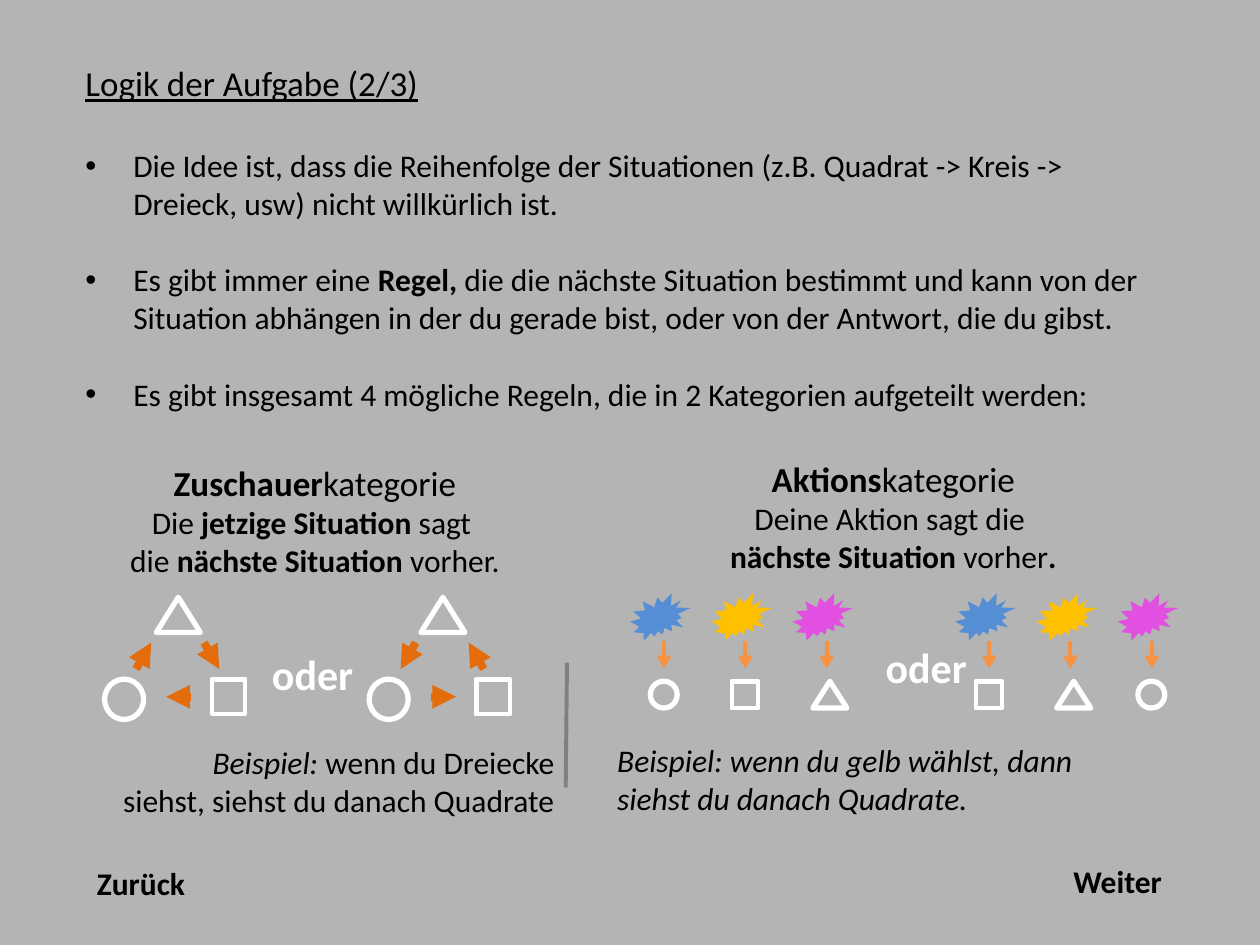
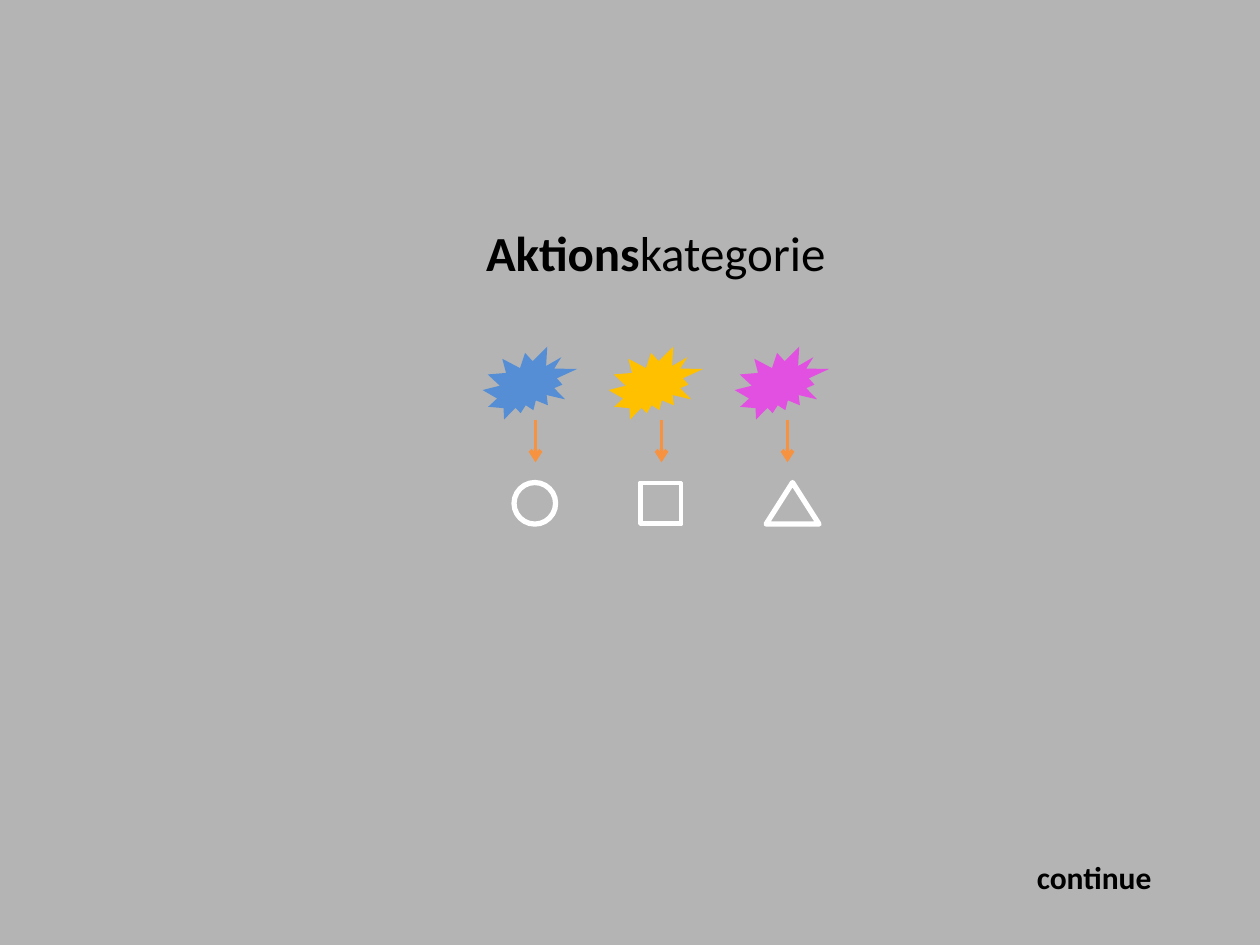
import lxml.etree
import pptx
import pptx.dml.color
import pptx.enum.dml
import pptx.enum.shapes
import pptx.enum.text
import pptx.oxml.ns
import pptx.util

Inches = pptx.util.Inches
Pt = pptx.util.Pt
RGBColor = pptx.dml.color.RGBColor
MSO_SHAPE = pptx.enum.shapes.MSO_SHAPE
PP_ALIGN = pptx.enum.text.PP_ALIGN
qn = pptx.oxml.ns.qn

GREY = RGBColor(0xB4, 0xB4, 0xB4)
DARK_GREY = RGBColor(0x80, 0x80, 0x80)
BLACK = RGBColor(0x00, 0x00, 0x00)
WHITE = RGBColor(0xFF, 0xFF, 0xFF)
BLUE = RGBColor(0x55, 0x8E, 0xD5)
YELLOW = RGBColor(0xFF, 0xC0, 0x00)
PINK = RGBColor(0xE2, 0x50, 0xE2)
ORANGE = RGBColor(0xE4, 0x6C, 0x0A)
LIGHT_ORANGE = RGBColor(0xF6, 0x92, 0x40)

FONT = "Calibri"
BOLD = {"bold": True}
ITALIC = {"italic": True}
HEADING = {"size": Pt(20)}
CENTRED = {"alignment": PP_ALIGN.CENTER}
RIGHT = {"alignment": PP_ALIGN.RIGHT}
BREAK = ("\n", {})

ACTIONS = [BLUE, YELLOW, PINK]
OUTLINE_WEIGHTS = {
    MSO_SHAPE.FRAME: 2,
    MSO_SHAPE.OVAL: 3,
    MSO_SHAPE.ISOSCELES_TRIANGLE: 3,
}
SMALL = 0.645


def apply_format(target, values):
    for name, value in values.items():
        setattr(target, name, value)


def new_slide(deck):
    slide = deck.slides.add_slide(deck.slide_layouts[6])
    slide.background.fill.solid()
    slide.background.fill.fore_color.rgb = GREY
    return slide


def add_bullet(paragraph):
    properties = paragraph._p.get_or_add_pPr()
    properties.set("marL", str(Inches(0.38)))
    properties.set("indent", str(-Inches(0.38)))
    lxml.etree.SubElement(properties, qn("a:buFont")).set("typeface", "Arial")
    lxml.etree.SubElement(properties, qn("a:buChar")).set("char", "•")


def fill_paragraph(paragraph, runs, layout, color):
    apply_format(paragraph, layout)
    for words, style in runs:
        if words == "\n":
            paragraph.add_line_break()
            continue
        run = paragraph.add_run()
        run.text = words
        apply_format(run.font, {"name": FONT, "size": Pt(18), **style})
        run.font.color.rgb = color


def add_text(shapes, at, paragraphs, layout=None, color=BLACK, wrap=True):
    box = shapes.add_textbox(*map(Inches, at))
    frame = box.text_frame
    apply_format(frame, {
        "word_wrap": wrap,
        "auto_size": pptx.enum.text.MSO_AUTO_SIZE.SHAPE_TO_FIT_TEXT,
    })
    for index, runs in enumerate(paragraphs):
        paragraph = frame.add_paragraph() if index else frame.paragraphs[0]
        fill_paragraph(paragraph, runs, layout or {}, color)
    return frame


def add_label(shapes, at, words, size=18, color=BLACK):
    style = {"bold": True, "size": Pt(size)}
    add_text(shapes, at, [[(words, style)]], color=color, wrap=False)


def add_line(shapes, start, end, color, weight, head=None):
    line = shapes.add_connector(
        pptx.enum.shapes.MSO_CONNECTOR.STRAIGHT, *map(Inches, start + end))
    line.line.color.rgb = color
    line.line.width = Pt(weight)
    properties = line._element.spPr
    if head:
        outline = properties.find(qn("a:ln"))
        lxml.etree.SubElement(outline, qn("a:tailEnd")).set("type", head)
    lxml.etree.SubElement(properties, qn("a:effectLst"))


def add_situation(shapes, kind, at):
    situation = shapes.add_shape(kind, *map(Inches, at))
    situation.shadow.inherit = False
    situation.fill.background()
    situation.line.color.rgb = WHITE
    situation.line.width = Pt(OUTLINE_WEIGHTS[kind])
    if kind == MSO_SHAPE.FRAME:
        situation.adjustments[0] = 0.022


def add_action(shapes, color, at):
    action = shapes.add_shape(MSO_SHAPE.EXPLOSION2, *map(Inches, at))
    action.shadow.inherit = False
    action.fill.solid()
    action.fill.fore_color.rgb = color
    action.line.fill.background()


def add_cycle(shapes, left, backwards=False):
    add_situation(shapes, MSO_SHAPE.FRAME, (left + 0.85, 5.39, 0.27, 0.28))
    add_situation(shapes, MSO_SHAPE.OVAL, (left, 5.39, 0.31, 0.32))
    add_situation(shapes, MSO_SHAPE.ISOSCELES_TRIANGLE,
                  (left + 0.41, 4.74, 0.35, 0.28))
    steps = [
        ((left + 0.25, 5.31), (left + 0.37, 5.1)),
        ((left + 0.79, 5.1), (left + 0.91, 5.31)),
        ((left + 0.69, 5.53), (left + 0.49, 5.53)),
    ]
    for start, end in steps:
        if backwards:
            start, end = end, start
        add_line(shapes, start, end, ORANGE, 4.5, "triangle")


def add_action_rule(shapes, left, top, scale, outcomes):
    for index, (color, outcome) in enumerate(zip(ACTIONS, outcomes)):
        x = left + index * scale
        add_action(shapes, color, (x, top, 0.75 * scale, 0.58 * scale))
        middle = x + 0.42 * scale
        add_line(shapes, (middle, top + 0.58 * scale),
                 (middle, top + 0.92 * scale), LIGHT_ORANGE, 2.25, "arrow")
        width = 0.42 if outcome == MSO_SHAPE.ISOSCELES_TRIANGLE else 0.33
        add_situation(shapes, outcome,
                      (x + 0.25 * scale, top + 1.08 * scale,
                       width * scale, 0.33 * scale))


def add_introduction(shapes):
    introduction = add_text(shapes, (0.58, 0.44, 8.83, 2.89), [
        [("Logik der Aufgabe (2/3)", {"size": Pt(20), "underline": True})],
        [("Die Idee ist, dass die Reihenfolge der Situationen (z.B. Quadrat "
          "-> Kreis -> Dreieck, usw) nicht willkürlich ist.", {})],
        [("Es gibt immer eine ", {}), ("Regel,", BOLD),
         (" die die nächste Situation bestimmt und kann von der Situation "
          "abhängen in der du gerade bist, oder von der Antwort, "
          "die du gibst.", {})],
        [("Es gibt insgesamt 4 mögliche Regeln, die in 2 Kategorien "
          "aufgeteilt werden:", {})],
    ])
    for point, gap in zip(introduction.paragraphs[1:], (24.4, 22, 22)):
        add_bullet(point)
        point.space_before = Pt(gap)


def add_category_texts(shapes):
    add_text(shapes, (0, 3.61, 5, 1.04), [
        [("Zuschauer", {**HEADING, **BOLD}), ("kategorie", HEADING), BREAK,
         ("Die ", {}), ("jetzige Situation ", BOLD), ("sagt ", {})],
        [("die ", {}), ("nächste Situation ", BOLD), ("vorher.", {})],
    ], CENTRED)
    add_text(shapes, (4.59, 3.58, 5, 1.04), [
        [("Aktions", {**HEADING, **BOLD}), ("kategorie", HEADING), BREAK,
         ("Deine Aktion sagt die ", {})],
        [("nächste Situation ", BOLD), ("vorher", {}), (".", BOLD)],
    ], CENTRED)
    add_text(shapes, (0.63, 5.85, 3.87, 0.71), [
        [("Beispiel: ", ITALIC), ("wenn du Dreiecke", {})],
        [("siehst, siehst du danach Quadrate", {})],
    ], RIGHT)
    add_text(shapes, (4.8, 5.83, 3.87, 0.71), [
        [("Beispiel: wenn du gelb wählst, dann siehst du danach Quadrate.",
          ITALIC)],
    ])


def build_logic_slide(deck):
    shapes = new_slide(deck).shapes
    add_introduction(shapes)
    add_label(shapes, (8.42, 6.79, 0.91, 0.4), "Weiter")

    spectator = shapes.add_group_shape().shapes
    add_cycle(spectator, 0.83)
    add_cycle(spectator, 2.93, backwards=True)
    add_label(spectator, (2.06, 5.1, 0.85, 0.5), "oder", 24, WHITE)

    action = shapes.add_group_shape().shapes
    add_action_rule(action, 5, 4.71, SMALL, [
        MSO_SHAPE.OVAL, MSO_SHAPE.FRAME, MSO_SHAPE.ISOSCELES_TRIANGLE])
    add_action_rule(action, 7.58, 4.71, SMALL, [
        MSO_SHAPE.FRAME, MSO_SHAPE.ISOSCELES_TRIANGLE, MSO_SHAPE.OVAL])
    add_label(action, (6.93, 5.04, 0.85, 0.5), "oder", 24, WHITE)

    add_line(shapes, (4.5, 5.26), (4.49, 6.25), DARK_GREY, 2.25)
    add_category_texts(shapes)
    add_label(shapes, (0.67, 6.81, 0.91, 0.4), "Zurück")


def build_action_slide(deck):
    shapes = new_slide(deck).shapes
    large = {"size": Pt(28)}
    add_text(shapes, (0.58, 1.72, 9.25, 0.57), [
        [("Aktions", {**large, **BOLD}), ("kategorie", large)],
    ], CENTRED)
    add_action_rule(shapes, 3.83, 2.75, 1, [
        MSO_SHAPE.OVAL, MSO_SHAPE.FRAME, MSO_SHAPE.ISOSCELES_TRIANGLE])
    add_label(shapes, (8.13, 6.76, 1.12, 0.4), "continue")


def main():
    deck = pptx.Presentation()
    deck.slide_width = Inches(10)
    deck.slide_height = Inches(7.5)
    build_logic_slide(deck)
    build_action_slide(deck)
    deck.save("out.pptx")


main()
